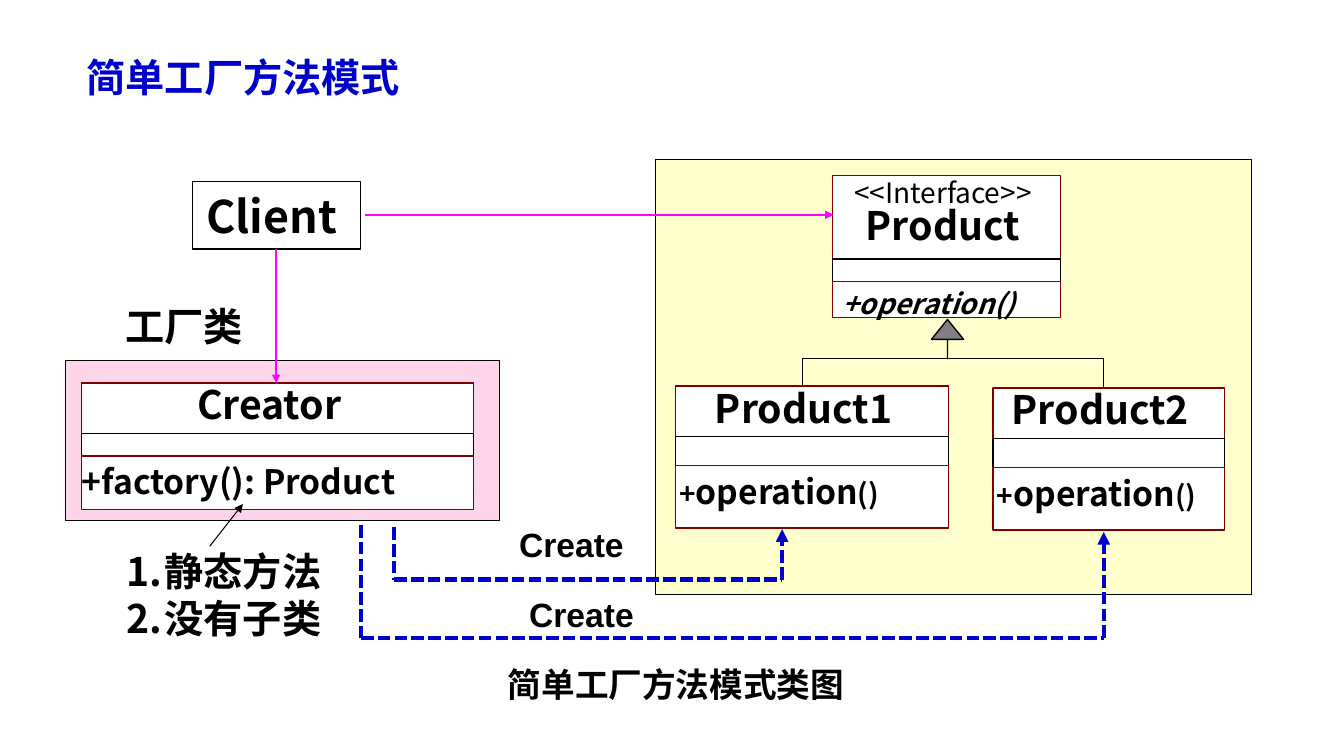
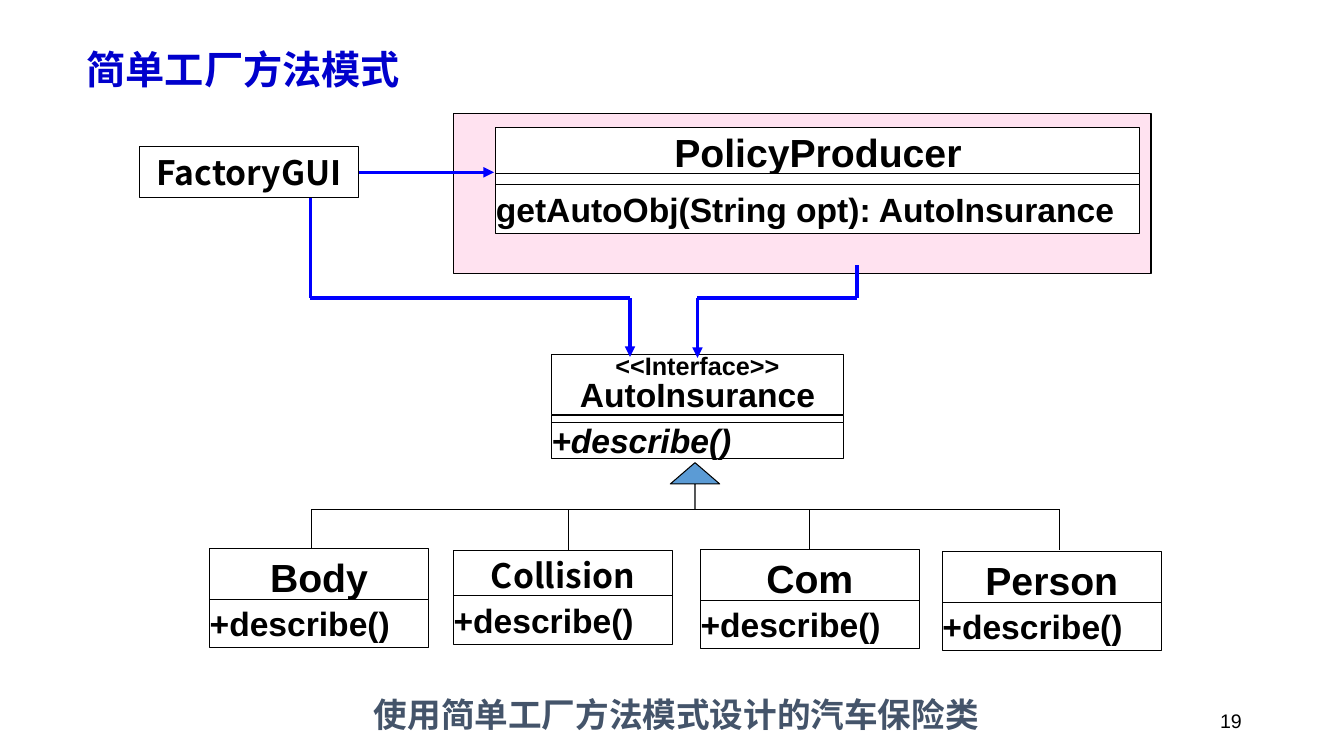
from dataclasses import dataclass
from itertools import pairwise

from lxml.etree import SubElement
from pptx import Presentation
from pptx.dml.color import RGBColor
from pptx.enum.dml import MSO_LINE
from pptx.enum.shapes import MSO_CONNECTOR as Connector, MSO_SHAPE as Preset
from pptx.enum.text import MSO_ANCHOR as Anchor, MSO_AUTO_SIZE as AutoSize, PP_ALIGN as Align
from pptx.oxml.ns import qn
from pptx.util import Pt

CJK = "Noto Sans CJK SC"
LATIN = "Arial"
BLACK = "000000"
WHITE = "FFFFFF"
TITLE_BLUE = "0000CC"
LINK_BLUE = "0000FF"
MAGENTA = "FF00FF"
MAROON = "800000"
PINK = "FF99CC"
YELLOW = "FFFF99"
CAPTION_GRAY = "44546A"
DEFAULT_INSETS = (7.2, 3.6, 7.2, 3.6)
NO_INSETS = (0, 0, 0, 0)
FLUSH = (0, 3.6, 0, 3.6)


@dataclass
class Run:
    text: str
    size: float
    font: str = CJK
    bold: bool = True
    italic: bool = False
    color: str = BLACK


@dataclass
class Row:
    offset: float
    height: float
    lines: tuple = ()
    align: Align = Align.LEFT
    insets: tuple = FLUSH
    anchor: Anchor = Anchor.TOP
    spacing: float = 1.0
    border: str = BLACK


def rgb(value):
    return RGBColor.from_string(value)


def write(shape, lines, align=Align.LEFT, anchor=Anchor.TOP, insets=DEFAULT_INSETS,
          spacing=1.0, wrap=True, numbered=False):
    frame = shape.text_frame
    frame.auto_size = AutoSize.NONE
    frame.word_wrap = wrap
    frame.vertical_anchor = anchor
    frame.margin_left, frame.margin_top, frame.margin_right, frame.margin_bottom = map(Pt, insets)
    for index, runs in enumerate(lines):
        paragraph = frame.paragraphs[0] if index == 0 else frame.add_paragraph()
        paragraph.alignment = align
        paragraph.line_spacing = spacing
        paragraph.space_before = Pt(0)
        properties = paragraph._p.get_or_add_pPr()
        indent = Pt(27) if numbered else 0
        properties.set("marL", str(indent))
        properties.set("indent", str(-indent))
        if numbered:
            SubElement(properties, qn("a:buFont"), typeface=CJK)
            SubElement(properties, qn("a:buAutoNum"), type="arabicPeriod")
        else:
            SubElement(properties, qn("a:buNone"))
        for item in runs:
            run = paragraph.add_run()
            run.text = item.text
            run.font.size = Pt(item.size)
            run.font.bold = item.bold
            run.font.italic = item.italic
            run.font.name = item.font
            run.font.color.rgb = rgb(item.color)
            SubElement(run._r.get_or_add_rPr(), qn("a:ea"), typeface=item.font)


def add_box(slide, box, fill=WHITE, border=BLACK, width=0.75, preset=Preset.RECTANGLE, opacity=None):
    shape = slide.shapes.add_shape(preset, *map(Pt, box))
    shape.shadow.inherit = False
    shape.fill.solid()
    shape.fill.fore_color.rgb = rgb(fill)
    shape.line.color.rgb = rgb(border)
    shape.line.width = Pt(width)
    if opacity is not None:
        color = shape._element.spPr.find(qn("a:solidFill")).find(qn("a:srgbClr"))
        SubElement(color, qn("a:alpha"), val=str(opacity * 1000))
    return shape


def add_label(slide, box, lines, **options):
    write(slide.shapes.add_textbox(*map(Pt, box)), lines, **options)


def add_route(slide, points, color=BLACK, width=0.75, arrow=True, dashed=False):
    for start, end in pairwise(points):
        line = slide.shapes.add_connector(Connector.STRAIGHT, *map(Pt, start + end))
        line.line.color.rgb = rgb(color)
        line.line.width = Pt(width)
        if dashed:
            line.line.dash_style = MSO_LINE.SQUARE_DOT
        if arrow and end == points[-1]:
            SubElement(line.line._get_or_add_ln(), qn("a:tailEnd"), type="triangle")
        SubElement(line._element.spPr, qn("a:effectLst"))


def add_class(slide, left, top, width, rows, line_width=0.75):
    for row in rows:
        shape = add_box(slide, (left, top + row.offset, width, row.height),
                        border=row.border, width=line_width)
        if row.lines:
            write(shape, row.lines, row.align, row.anchor, row.insets, row.spacing)


def add_inheritance(slide, box, fill, head, children, bottom, line_width):
    left, top, width, height = box
    trunk = top + height
    arrow = add_box(slide, box, fill, width=line_width, preset=Preset.UP_ARROW)
    arrow.adjustments[0] = 0
    arrow.adjustments[1] = head
    add_route(slide, [(children[0], trunk), (children[-1], trunk)], arrow=False)
    for child in children:
        add_route(slide, [(child, trunk), (child, bottom)], arrow=False)


def add_page(presentation, title_top, caption, caption_box, caption_color, anchor, spacing):
    slide = presentation.slides.add_slide(presentation.slide_layouts[1])
    title, body = slide.placeholders
    for shape, box in ((title, (54.7, title_top, 240.5, 41)), (body, caption_box)):
        shape.left, shape.top, shape.width, shape.height = map(Pt, box)
    write(title, [[Run("简单工厂方法模式", 28, color=TITLE_BLUE)]], wrap=False)
    write(body, [[Run(caption, 24, color=caption_color)]], Align.CENTER, anchor, spacing=spacing)
    return slide


def maroon_rows(name_lines, operation, heights, insets, name_insets):
    name, attribute, methods = heights
    return [
        Row(0, name, name_lines, Align.CENTER, name_insets, spacing=0.85, border=MAROON),
        Row(name, attribute),
        Row(name + attribute, methods, [operation], insets=insets, border=MAROON),
    ]


def add_factory_region(slide):
    add_box(slide, (46.8, 257.8, 310.3, 113.8), PINK, opacity=41)
    rows = maroon_rows([[Run("Creator", 28)]], [Run("+factory(): Product", 24)],
                       (36, 16.2, 38.2), FLUSH, (0, 3.6, 12, 3.6))
    add_class(slide, 58.3, 273.6, 280, rows, 1)
    add_label(slide, (89.3, 216, 90, 33.8), [[Run("工厂类", 28)]],
              anchor=Anchor.MIDDLE, insets=NO_INSETS)
    add_label(slide, (83.5, 387.4, 210, 74), [[Run("静态方法", 28)], [Run("没有子类", 28)]], numbered=True)
    add_route(slide, [(149.8, 390.2), (173.5, 360)])


def add_product_region(slide):
    add_box(slide, (468, 113.8, 426.2, 311), YELLOW, opacity=48)
    add_inheritance(slide, (665.3, 228.2, 23, 28.1), "808080", 0.62, (573, 788.4), 291, 1)
    interface = [[Run("<<Interface>>", 20, bold=False)], [Run("Product", 28)]]
    rows = maroon_rows(interface, [Run("+operation()", 20, italic=True)],
                       (59.8, 16.2, 25.6), DEFAULT_INSETS, (7.2, 3.6, 12.2, 3.6))
    add_class(slide, 594.7, 125.3, 162.7, rows, 1)
    operation = [Run("+", 20), Run("operation", 24), Run("()", 20)]
    for name, left, top, width in (("Product1", 482.4, 275.8, 195.1), ("Product2", 709.2, 277.2, 165.6)):
        rows = maroon_rows([[Run(name, 28)]], operation, (36, 20.9, 44.6),
                           (2.9, 3.6, 2.9, 3.6), (2.9, 3.6, 14.9, 3.6))
        add_class(slide, left, top, width, rows, 1)


def build_pattern_slide(presentation):
    slide = add_page(presentation, 34.6, "简单工厂方法模式类图", (324, 476, 317.5, 37.4),
                     BLACK, Anchor.TOP, 0.8)
    add_factory_region(slide)
    add_product_region(slide)
    client = add_box(slide, (137.5, 129.6, 120.2, 48.2), width=1)
    write(client, [[Run("Client", 32)]], Align.CENTER, Anchor.MIDDLE, (7.2, 3.6, 14.2, 3.6))
    for points in ([(197.3, 177.8), (197.3, 273.6)], [(260.6, 153.4), (595.4, 153.4)]):
        add_route(slide, points, MAGENTA, 1.75)
    for start_x, start_y, level, end_x, end_y in (
        (281.5, 376.6, 414, 558.7, 378),
        (257.8, 375, 455.8, 788.4, 380),
    ):
        points = [(start_x, start_y), (start_x, level), (end_x, level), (end_x, end_y)]
        add_route(slide, points, TITLE_BLUE, 3, dashed=True)
    for left, top in ((370.8, 374.5), (378, 424.5)):
        add_label(slide, (left, top, 81.4, 28.8), [[Run("Create", 24, LATIN)]],
                  anchor=Anchor.MIDDLE, insets=NO_INSETS)


def add_policy_region(slide):
    add_box(slide, (324, 81.4, 498.2, 113.8), PINK, opacity=28)
    rows = [
        Row(0, 33.8, [[Run("PolicyProducer", 28, LATIN)]], Align.CENTER, NO_INSETS, Anchor.MIDDLE),
        Row(32.4, 12.2),
        Row(40.3, 35.3, [[Run("getAutoObj(String opt): AutoInsurance", 24, LATIN)]], anchor=Anchor.MIDDLE),
    ]
    add_class(slide, 354.2, 91.4, 460.1, rows)


def add_insurance_region(slide):
    add_inheritance(slide, (478.8, 330.5, 35.3, 33.1), "5B9BD5", 0.46,
                    (222.5, 406.1, 578.2, 756.7), 393, 0.75)
    interface = [[Run("<<Interface>>", 18, LATIN)], [Run("AutoInsurance", 24, LATIN)]]
    rows = [
        Row(0, 42.5, interface, Align.CENTER, NO_INSETS, Anchor.MIDDLE, 0.85),
        Row(43.2, 5),
        Row(48.2, 26, [[Run("+describe()", 24, LATIN, italic=True)]],
            insets=NO_INSETS, anchor=Anchor.MIDDLE),
    ]
    add_class(slide, 393.8, 253.4, 208.8, rows)
    for name, size, font, left, top, name_height, offset in (
        ("Body", 28, LATIN, 149.8, 391.7, 40.3, 36.3),
        ("Collision", 24, CJK, 324, 393.1, 34.6, 32.4),
        ("Com", 28, LATIN, 500.4, 392.4, 40.3, 36.3),
        ("Person", 28, LATIN, 673.2, 393.8, 40.3, 36.3),
    ):
        rows = [
            Row(0, name_height, [[Run(name, size, font)]], Align.CENTER, anchor=Anchor.MIDDLE),
            Row(offset, 34.6, [[Run("+describe()", 24, LATIN)]], anchor=Anchor.MIDDLE),
        ]
        add_class(slide, left, top, 156.2, rows)


def build_insurance_slide(presentation):
    slide = add_page(presentation, 28.8, "使用简单工厂方法模式设计的汽车保险类",
                     (228.2, 486, 509.8, 48.2), CAPTION_GRAY, Anchor.MIDDLE, 1.0)
    add_policy_region(slide)
    add_insurance_region(slide)
    factory = add_box(slide, (99.4, 104.4, 157, 36.7))
    write(factory, [[Run("FactoryGUI", 24)]], Align.CENTER, Anchor.MIDDLE, NO_INSETS)
    for points in (
        [(256.4, 123.1), (352.8, 123.1)],
        [(221.8, 141.1), (221.8, 213), (450, 213), (450, 254.9)],
        [(612, 189.4), (612, 213), (498.2, 213), (498.2, 255.6)],
    ):
        add_route(slide, points, LINK_BLUE, 2.5)
    add_label(slide, (678.2, 500.4, 216, 28.8), [[Run("19", 14, LATIN, bold=False)]],
              align=Align.RIGHT, anchor=Anchor.MIDDLE)


def main():
    presentation = Presentation()
    presentation.slide_width = Pt(960)
    presentation.slide_height = Pt(540)
    build_pattern_slide(presentation)
    build_insurance_slide(presentation)
    presentation.save("out.pptx")


if __name__ == "__main__":
    main()
